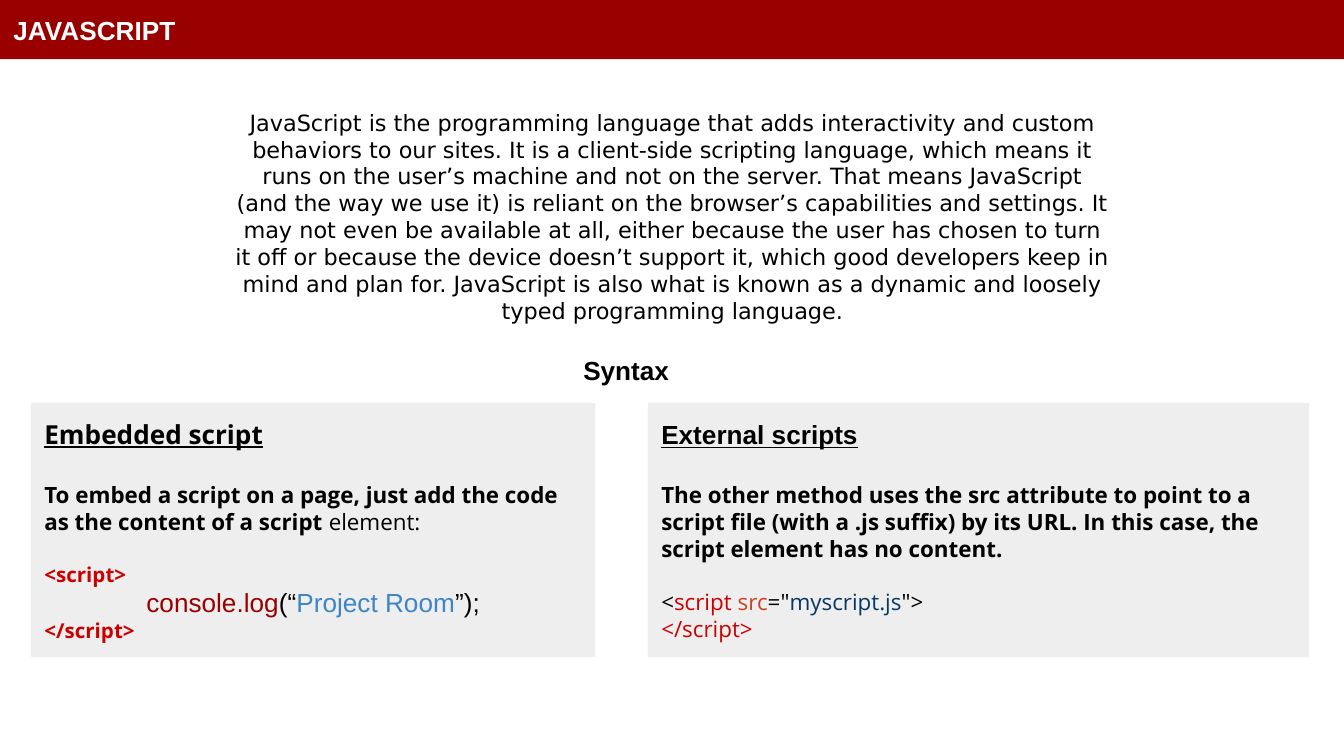
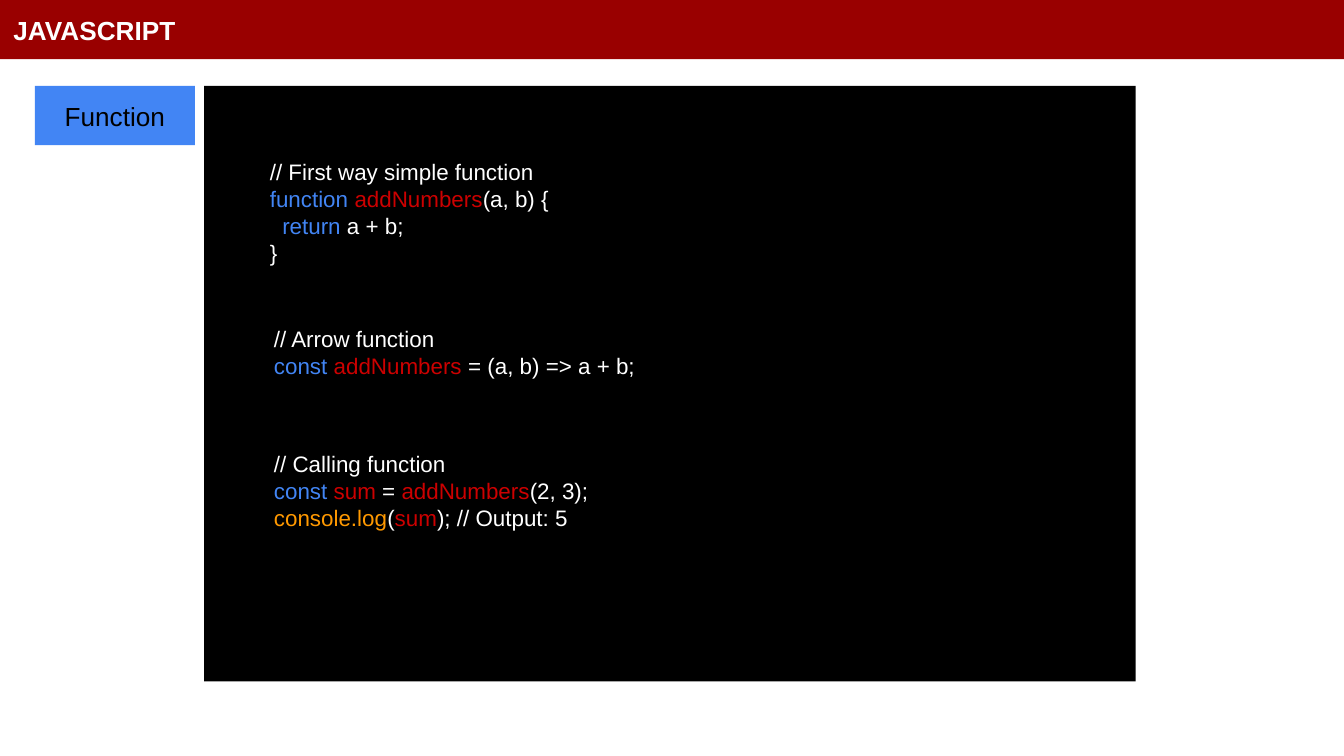
from dataclasses import dataclass

from lxml.etree import SubElement
from pptx import Presentation
from pptx.dml.color import RGBColor
from pptx.enum.shapes import MSO_SHAPE
from pptx.enum.text import MSO_ANCHOR, MSO_AUTO_SIZE, PP_ALIGN
from pptx.oxml.ns import qn
from pptx.util import Inches, Pt


@dataclass(frozen=True)
class Theme:
    """Colours, fonts, type sizes and common measures of the deck."""
    band: str = "990000"
    panel: str = "EEEEEE"
    black: str = "000000"
    white: str = "FFFFFF"
    blue: str = "4285F4"
    red: str = "CC0000"
    rust: str = "CC4125"
    navy: str = "073763"
    sky: str = "3D85C6"
    orange: str = "FF9900"
    sans: str = "Arial"
    intro: str = "DejaVu Sans"
    body: str = "Open Sans"
    head: int = 14
    text: int = 12
    tag: int = 11
    leading: float = 1.2
    inset: float = 0.1
    bar: float = 0.44


T = Theme()
W, H = 10, 5.625

# A line is (runs, format); a run is (text, colour) or (text, colour, bold).
TITLE = [([("JAVASCRIPT", T.white)], dict(size=T.head, bold=True))]
INTRO = [([(
    "JavaScript is the programming language that adds interactivity and custom "
    "behaviors to our sites. It is a client-side scripting language, which means "
    "it runs on the user’s machine and not on the server. That means JavaScript "
    "(and the way we use it) is reliant on the browser’s capabilities and "
    "settings. It may not even be available at all, either because the user has "
    "chosen to turn it off or because the device doesn’t support it, which good "
    "developers keep in mind and plan for. JavaScript is also what is known as a "
    "dynamic and loosely typed programming language.", T.black)],
    dict(font=T.intro, align=PP_ALIGN.CENTER))]
SYNTAX = [([("Syntax", T.black)],
           dict(size=T.head, bold=True, align=PP_ALIGN.CENTER))]

HEADING = dict(size=T.head, bold=True, underline=True, after=T.head * T.leading)
LEAD = dict(font=T.body, after=T.text * T.leading)
TAG = dict(font=T.body, size=T.tag, bold=True)
EMBEDDED = [
    ([("Embedded script", T.black)], dict(HEADING, font=T.body)),
    ([("To embed a script on a page, just add the code as the content of a script ",
       T.black, True), ("element:", T.black)], LEAD),
    ([("<script>", T.red)], TAG),
    ([("console.log", T.band), ("(“", T.black), ("Project Room", T.sky),
      ("”);", T.black)], dict(size=T.head, align=PP_ALIGN.CENTER)),
    ([("</script>", T.red)], TAG),
]
EXTERNAL = [
    ([("External scripts", T.black)], HEADING),
    ([("The other method uses the src attribute to point to a script file (with a "
       ".js suffix) by its URL. In this case, the script element has no content.",
       T.black, True)], LEAD),
    ([("<", T.black), ("script ", T.red), ("src", T.rust), ('="', T.black),
      ("myscript.js", T.navy), ('">', T.black)], dict(font=T.body)),
    ([("</script>", T.red)], dict(font=T.body)),
]
PANELS = [(0.23, 4.2, EMBEDDED), (4.82, 4.92, EXTERNAL)]  # left, width, lines

FUNCTION = [([("Function", T.black)], dict(size=T.head, align=PP_ALIGN.CENTER))]
SNIPPETS = [  # box, lines of code
    ((1.91, 1.08, 2.74, 1.25), [
        [("// First way simple function", T.white)],
        [("function ", T.blue), ("addNumbers", T.red), ("(a, b) {", T.white)],
        [("  ", T.white), ("return", T.blue), (" a + b;", T.white)],
        [("}", T.white)]]),
    ((1.94, 2.32, 3.5, 0.61), [
        [("// Arrow function", T.white)],
        [("const ", T.blue), ("addNumbers", T.red),
         (" = (a, b) => a + b;", T.white)]]),
    ((1.94, 3.25, 6.04, 1.28), [
        [("// Calling function", T.white)],
        [("const ", T.blue), ("sum ", T.red), ("= ", T.white),
         ("addNumbers", T.red), ("(2, 3);", T.white)],
        [("console.log", T.orange), ("(", T.white), ("sum", T.red),
         ("); // Output: 5", T.white)]]),
]


def write_line(p, runs, font=T.sans, size=T.text, bold=False, underline=False,
               align=PP_ALIGN.LEFT, after=0):
    """Fill one paragraph with coloured runs in the given format."""
    p.alignment = align
    p.line_spacing = Pt(size * T.leading)
    p.space_before, p.space_after = Pt(0), Pt(after)
    pPr = p._p.get_or_add_pPr()
    pPr.set("marL", "0")
    pPr.set("indent", "0")
    SubElement(pPr, qn("a:buNone"))
    for text, color, *strong in runs:
        r = p.add_run()
        r.text = text
        f = r.font
        f.name, f.size, f.underline = font, Pt(size), underline
        f.bold = bool(strong) or bold
        f.color.rgb = RGBColor.from_string(color)


def fill_text(sp, lines, anchor=MSO_ANCHOR.TOP):
    """Set the frame of a shape and write its lines."""
    tf = sp.text_frame
    tf.word_wrap, tf.auto_size = True, MSO_AUTO_SIZE.NONE
    tf.vertical_anchor = anchor
    tf.margin_left = tf.margin_right = Inches(T.inset)
    tf.margin_top = tf.margin_bottom = Inches(T.inset)
    for i, (runs, fmt) in enumerate(lines):
        write_line(tf.add_paragraph() if i else tf.paragraphs[0], runs, **fmt)


def place(sp, box, fill):
    """Move a placeholder to a box and give it a solid fill."""
    sp.left, sp.top, sp.width, sp.height = map(Inches, box)
    sp.fill.solid()
    sp.fill.fore_color.rgb = RGBColor.from_string(fill)
    return sp


def add_block(s, box, fill):
    """Add a plain filled rectangle."""
    sp = s.shapes.add_shape(MSO_SHAPE.RECTANGLE, *map(Inches, box))
    sp.shadow.inherit = False
    sp.line.fill.background()
    return place(sp, box, fill)


def add_text(s, box, lines):
    """Add a text box with lines."""
    fill_text(s.shapes.add_textbox(*map(Inches, box)), lines)


def add_slide(prs, layout):
    """Add a slide whose title is the band across the top."""
    s = prs.slides.add_slide(prs.slide_layouts.get_by_name(layout))
    fill_text(place(s.shapes.title, (0, 0, W, T.bar), T.band), TITLE,
              MSO_ANCHOR.MIDDLE)
    return s


def syntax_slide(prs):
    """Introduction above two panels on script syntax."""
    s = add_slide(prs, "Two Content")
    add_text(s, (1.64, 0.71, 6.73, 1.82), INTRO)
    bodies = list(s.placeholders)[1:]
    for sp, (left, width, lines) in zip(bodies, PANELS):
        fill_text(place(sp, (left, 3, width, 1.89), T.panel), lines,
                  MSO_ANCHOR.MIDDLE)
    add_text(s, (4.21, 2.54, 0.9, T.bar), SYNTAX)


def function_slide(prs):
    """Code screen with three snippets and a label beside it."""
    s = add_slide(prs, "Title Only")
    top = 0.64
    add_block(s, (1.52, top, 6.93, 4.43), T.black)
    fill_text(add_block(s, (0.26, top, 1.19, T.bar), T.blue), FUNCTION,
              MSO_ANCHOR.MIDDLE)
    for box, code in SNIPPETS:
        add_text(s, box, [(runs, {}) for runs in code])


prs = Presentation()
prs.slide_width, prs.slide_height = Inches(W), Inches(H)
syntax_slide(prs)
function_slide(prs)
prs.save("out.pptx")
